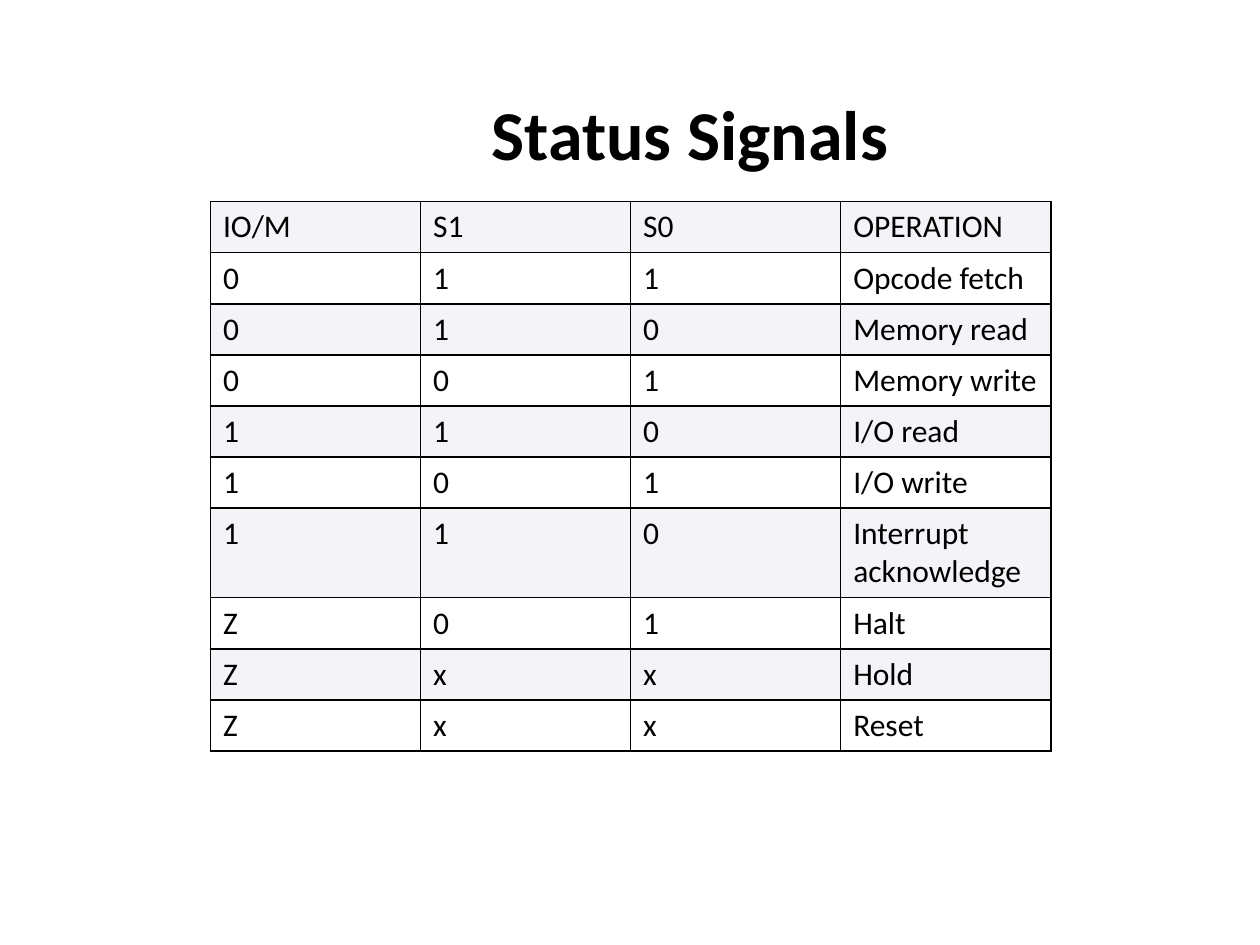
from lxml import etree
from pptx import Presentation
from pptx.dml.color import RGBColor
from pptx.enum.text import MSO_ANCHOR, PP_ALIGN
from pptx.oxml.ns import qn
from pptx.util import Inches, Pt

CENTER = PP_ALIGN.CENTER
TOP = MSO_ANCHOR.TOP
TITLE_ONLY = 5
COLORS = {"text": "000000", "band": "F4F4F8", "border": "000000"}
SIGNALS = [
    ("IO/M", "S1", "S0", "OPERATION"),
    ("0", "1", "1", "Opcode fetch"),
    ("0", "1", "0", "Memory read"),
    ("0", "0", "1", "Memory write"),
    ("1", "1", "0", "I/O read"),
    ("1", "0", "1", "I/O write"),
    ("1", "1", "0", "Interrupt acknowledge"),
    ("Z", "0", "1", "Halt"),
    ("Z", "x", "x", "Hold"),
    ("Z", "x", "x", "Reset"),
]


class Deck:
    font = "Calibri"

    def __init__(self):
        self.prs = Presentation()
        self.prs.slide_width = Inches(10)
        self.prs.slide_height = Inches(7.5)
        self.s = self.prs.slides.add_slide(self.prs.slide_layouts[TITLE_ONLY])

    def style(self, p, size, bold=False):
        p.font.name = self.font
        p.font.size = Pt(size)
        p.font.bold = bold
        p.font.color.rgb = RGBColor.from_string(COLORS["text"])

    def title(self, text, left, top, width, height):
        sp = self.s.shapes.title
        sp.left, sp.top = Inches(left), Inches(top)
        sp.width, sp.height = Inches(width), Inches(height)
        tf = sp.text_frame
        tf.text = text
        tf.vertical_anchor = TOP
        p = tf.paragraphs[0]
        p.alignment = CENTER
        self.style(p, 40, bold=True)

    def borders(self, cell):
        tc_pr = cell._tc.get_or_add_tcPr()
        for side in ("a:lnL", "a:lnR", "a:lnT", "a:lnB"):
            ln = etree.SubElement(tc_pr, qn(side), w=str(Pt(1)))
            fill = etree.SubElement(ln, qn("a:solidFill"))
            etree.SubElement(fill, qn("a:srgbClr"), val=COLORS["border"])

    def table(self, rows, left, top, width, row_height):
        frame = self.s.shapes.add_table(
            len(rows), len(rows[0]), Inches(left), Inches(top),
            Inches(width), Inches(row_height * len(rows)))
        table = frame.table
        table.first_row = False
        table.horz_banding = False
        for i, row in enumerate(rows):
            for j, text in enumerate(row):
                cell = table.cell(i, j)
                cell.text = text
                self.style(cell.text_frame.paragraphs[0], 18)
                self.borders(cell)
                if i % 2 == 0:
                    cell.fill.solid()
                    cell.fill.fore_color.rgb = RGBColor.from_string(COLORS["band"])
                else:
                    cell.fill.background()


def main():
    deck = Deck()
    deck.title("Status Signals", 3.1, 0.67, 4.75, 0.77)
    deck.table(SIGNALS, 1.67, 1.6, 6.67, 0.4)
    deck.prs.save("out.pptx")


if __name__ == "__main__":
    main()
